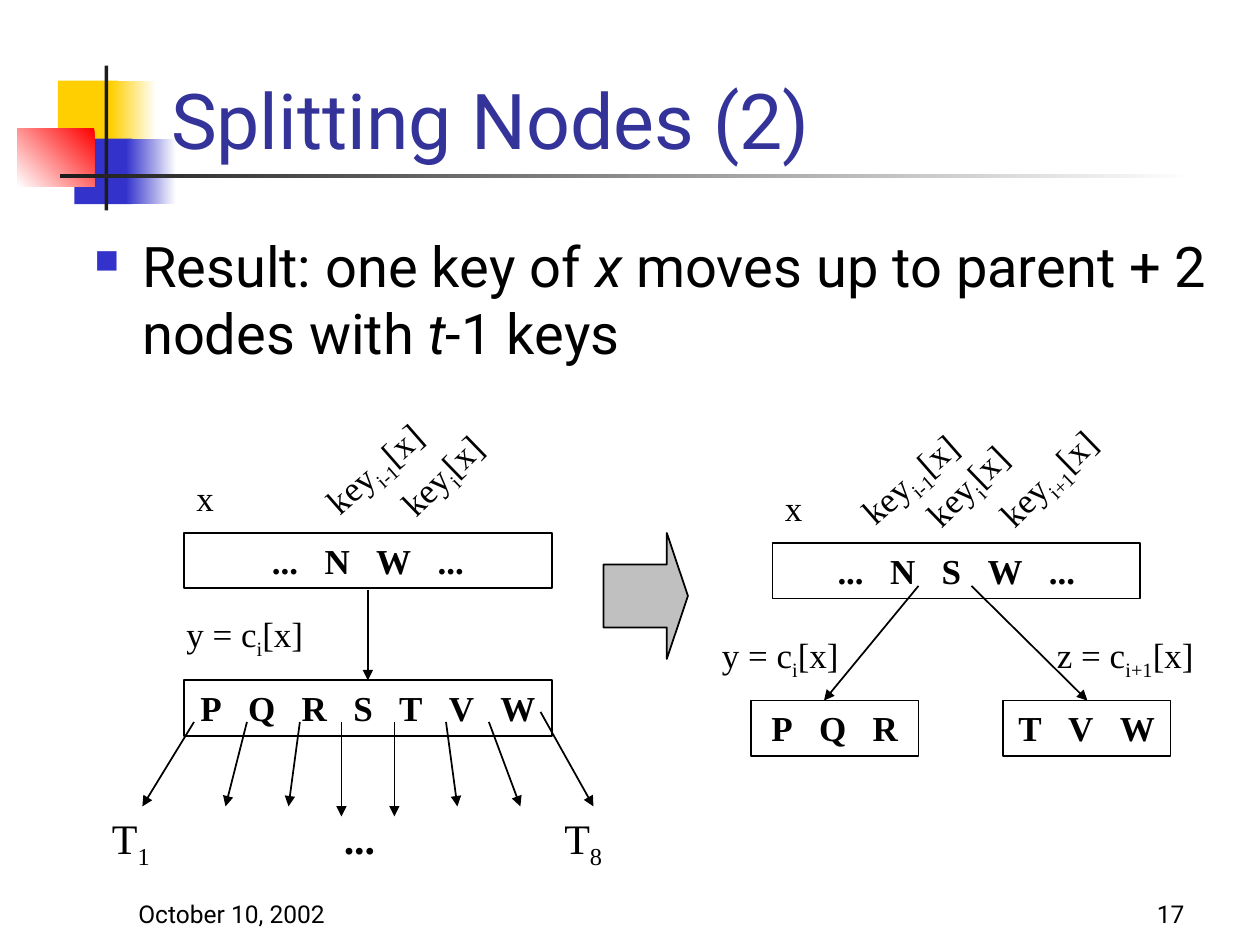
from dataclasses import dataclass
from typing import NamedTuple, Optional

from lxml import etree
from pptx import Presentation
from pptx.dml.color import RGBColor
from pptx.enum import shapes, text
from pptx.oxml import ns
from pptx.util import Inches, Pt

BLACK = RGBColor(0x00, 0x00, 0x00)
WHITE = RGBColor(0xFF, 0xFF, 0xFF)
CHARCOAL = RGBColor(0x1C, 0x1C, 0x1C)
GRAY = RGBColor(0xC0, 0xC0, 0xC0)
YELLOW = RGBColor(0xFF, 0xCF, 0x01)
BLUE = RGBColor(0x33, 0x33, 0xCC)
RED = RGBColor(0xFF, 0x00, 0x00)
INDIGO = RGBColor(0x33, 0x33, 0x99)
SANS = "Roboto"
SERIF = "Times New Roman"
KEY_GAP = 10
NODE_HEIGHT = 0.44


class Area(NamedTuple):
    left: float
    top: float
    width: float
    height: float


class Span(NamedTuple):
    text: str
    bold: bool = False
    italic: bool = False
    subscript: bool = False
    spacing: float = 0


@dataclass
class Style:
    size: float = 20
    font: str = SERIF
    color: RGBColor = BLACK
    align: text.PP_ALIGN = text.PP_ALIGN.LEFT
    anchor: text.MSO_ANCHOR = text.MSO_ANCHOR.TOP
    before: float = 12.5
    grow: bool = True


@dataclass
class Block:
    area: Area
    start: RGBColor
    end: Optional[RGBColor] = None
    angle: float = 180


@dataclass
class Node:
    area: Area
    keys: str


@dataclass
class Label:
    area: Area
    spans: list[Span]
    rotation: float = 0


class Arrow(NamedTuple):
    x1: float
    y1: float
    x2: float
    y2: float


def inches(area: Area) -> list[Inches]:
    return [Inches(value) for value in area]


def write(box, spans: list[Span], style: Style):
    frame = box.text_frame
    frame.word_wrap = True
    frame.vertical_anchor = style.anchor
    frame.auto_size = (text.MSO_AUTO_SIZE.SHAPE_TO_FIT_TEXT if style.grow
                       else text.MSO_AUTO_SIZE.NONE)
    para = frame.paragraphs[0]
    para.alignment = style.align
    para.space_before = Pt(style.before)
    for span in spans:
        run = para.add_run()
        run.text = span.text
        font = run.font
        font.size, font.name = Pt(style.size), style.font
        font.bold, font.italic = span.bold, span.italic
        font.color.rgb = style.color
        properties = run._r.get_or_add_rPr()
        if span.subscript:
            properties.set("baseline", "-25000")
        if span.spacing:
            properties.set("spc", str(round(span.spacing * 100)))
    return para


def add_text(slide, area: Area, spans: list[Span], style: Style, rotation: float = 0):
    box = slide.shapes.add_textbox(*inches(area))
    box.rotation = rotation
    return write(box, spans, style)


def add_block(slide, block: Block) -> None:
    box = slide.shapes.add_shape(shapes.MSO_SHAPE.RECTANGLE, *inches(block.area))
    box.shadow.inherit = False
    box.line.fill.background()
    if block.end is None:
        box.fill.solid()
        box.fill.fore_color.rgb = block.start
        return
    box.fill.gradient()
    box.fill.gradient_angle = 360 - block.angle
    for stop, color, position in zip(box.fill.gradient_stops, (block.start, block.end), (0, 1)):
        stop.color.rgb = color
        stop.position = position


def add_outlined(slide, kind: shapes.MSO_SHAPE, area: Area):
    box = slide.shapes.add_shape(kind, *inches(area))
    box.shadow.inherit = False
    box.fill.background()
    box.line.color.rgb = BLACK
    box.line.width = Pt(1)
    return box


def add_node(slide, node: Node) -> None:
    box = add_outlined(slide, shapes.MSO_SHAPE.RECTANGLE, node.area)
    first, *others = node.keys.split()
    spans = [Span(first, bold=True)]
    for key in others:
        spans += [Span(" ", bold=True, spacing=KEY_GAP), Span(key, bold=True)]
    write(box, spans, Style(align=text.PP_ALIGN.CENTER))


def add_arrow(slide, arrow: Arrow) -> None:
    line = slide.shapes.add_connector(shapes.MSO_CONNECTOR.STRAIGHT, *inches(arrow))
    line.line.color.rgb = BLACK
    line.line.width = Pt(1)
    etree.SubElement(line.line._get_or_add_ln(), ns.qn("a:tailEnd"), type="triangle")
    etree.SubElement(line._element.spPr, ns.qn("a:effectLst"))


def add_bullet(para) -> None:
    properties = para._p.get_or_add_pPr()
    properties.set("marL", str(Inches(0.38)))
    properties.set("indent", str(Inches(-0.38)))
    color = etree.SubElement(properties, ns.qn("a:buClr"))
    etree.SubElement(color, ns.qn("a:srgbClr"), val=str(BLUE))
    etree.SubElement(properties, ns.qn("a:buSzPct"), val="60000")
    etree.SubElement(properties, ns.qn("a:buChar"), char="■")


def indexed(name: str, index: str) -> list[Span]:
    return [Span(name), Span(index, subscript=True), Span("[x]")]


def label(left: float, top: float, name: str, index: str, rotation: float = 0) -> Label:
    return Label(Area(left, top, 1.42, 0.48), indexed(name, index), rotation)


BLOCKS = [
    Block(Area(0.46, 0.64, 0.48, 0.52), YELLOW),
    Block(Area(0.88, 0.64, 0.36, 0.52), WHITE, YELLOW),
    Block(Area(0.59, 1.1, 0.46, 0.52), BLUE),
    Block(Area(1, 1.1, 0.4, 0.52), WHITE, BLUE),
    Block(Area(0.14, 1.02, 0.61, 0.46), RED, WHITE, 135),
    Block(Area(0.83, 0.52, 0.03, 1.15), CHARCOAL),
    Block(Area(0.48, 1.38, 9, 0.03), WHITE, CHARCOAL),
]
NODES = [
    Node(Area(1.46, 4.23, 2.92, NODE_HEIGHT), "... N W ..."),
    Node(Area(1.46, 5.4, 2.92, NODE_HEIGHT), "P Q R S T V W"),
    Node(Area(6.13, 4.31, 2.92, NODE_HEIGHT), "... N S W ..."),
    Node(Area(5.96, 5.56, 1.33, NODE_HEIGHT), "P Q R"),
    Node(Area(7.96, 5.56, 1.33, NODE_HEIGHT), "T V W"),
]
LABELS = [
    Label(Area(1.46, 3.73, 0.58, 0.44), [Span("x")]),
    Label(Area(6.13, 3.81, 0.58, 0.44), [Span("x")]),
    label(1.38, 4.81, "y = c", "i"),
    label(5.63, 4.98, "y = c", "i"),
    label(8.29, 4.98, "z = c", "i+1"),
    label(2.39, 3.39, "key", "i-1", 318.7),
    label(2.97, 3.39, "key", "i", 315.8),
    label(6.64, 3.47, "key", "i-1", 318.7),
    label(7.14, 3.47, "key", "i", 315.8),
    label(7.72, 3.47, "key", "i+1", 315.8),
]
SUBTREES = [
    Label(Area(0.79, 6.4, 0.58, 0.56), [Span("T"), Span("1", subscript=True)]),
    Label(Area(2.63, 6.4, 0.58, 0.5), [Span("...", bold=True)]),
    Label(Area(4.38, 6.4, 0.58, 0.56), [Span("T"), Span("8", subscript=True)]),
]
ARROWS = [
    Arrow(1.54, 5.73, 1.13, 6.4), Arrow(1.96, 5.73, 1.79, 6.4),
    Arrow(2.38, 5.73, 2.29, 6.4), Arrow(2.71, 5.73, 2.71, 6.48),
    Arrow(3.13, 5.73, 3.13, 6.48), Arrow(3.54, 5.73, 3.63, 6.4),
    Arrow(3.88, 5.73, 4.13, 6.4), Arrow(4.29, 5.65, 4.71, 6.4),
    Arrow(2.92, 4.68, 2.92, 5.4),
    Arrow(7.29, 4.65, 6.54, 5.56), Arrow(7.71, 4.65, 8.63, 5.56),
]


def main() -> None:
    deck = Presentation()
    deck.slide_width, deck.slide_height = Inches(10), Inches(7.5)
    page = deck.slides.add_slide(deck.slide_layouts[6])
    for block in BLOCKS:
        add_block(page, block)
    bottom = text.MSO_ANCHOR.BOTTOM
    add_text(page, Area(1.26, 0.11, 8.52, 1.25), [Span("Splitting Nodes (2)")],
             Style(44, SANS, INDIGO, anchor=bottom, before=0, grow=False))
    for node in NODES:
        add_node(page, node)
    for items, style in ((LABELS, Style()), (SUBTREES, Style(24, before=15))):
        for item in items:
            add_text(page, item.area, item.spans, style, item.rotation)
    result = add_outlined(page, shapes.MSO_SHAPE.RIGHT_ARROW, Area(4.79, 4.23, 0.67, 1))
    result.adjustments[0], result.adjustments[1] = 0.5, 0.25
    result.fill.solid()
    result.fill.fore_color.rgb = GRAY
    summary = [Span("Result: one key of "), Span("x", italic=True),
               Span(" moves up to parent + 2 nodes with "),
               Span("t", italic=True), Span("-1 keys")]
    add_bullet(add_text(page, Area(0.65, 1.79, 9.14, 3), summary,
                        Style(32, SANS, before=8, grow=False)))
    for arrow in ARROWS:
        add_arrow(page, arrow)
    for left, words, align in ((1, "October 10, 2002", text.PP_ALIGN.LEFT),
                               (7.42, "17", text.PP_ALIGN.RIGHT)):
        add_text(page, Area(left, 6.92, 2.08, 0.5), [Span(words)],
                 Style(14, SANS, align=align, anchor=bottom, before=0, grow=False))
    deck.save("out.pptx")


if __name__ == "__main__":
    main()
